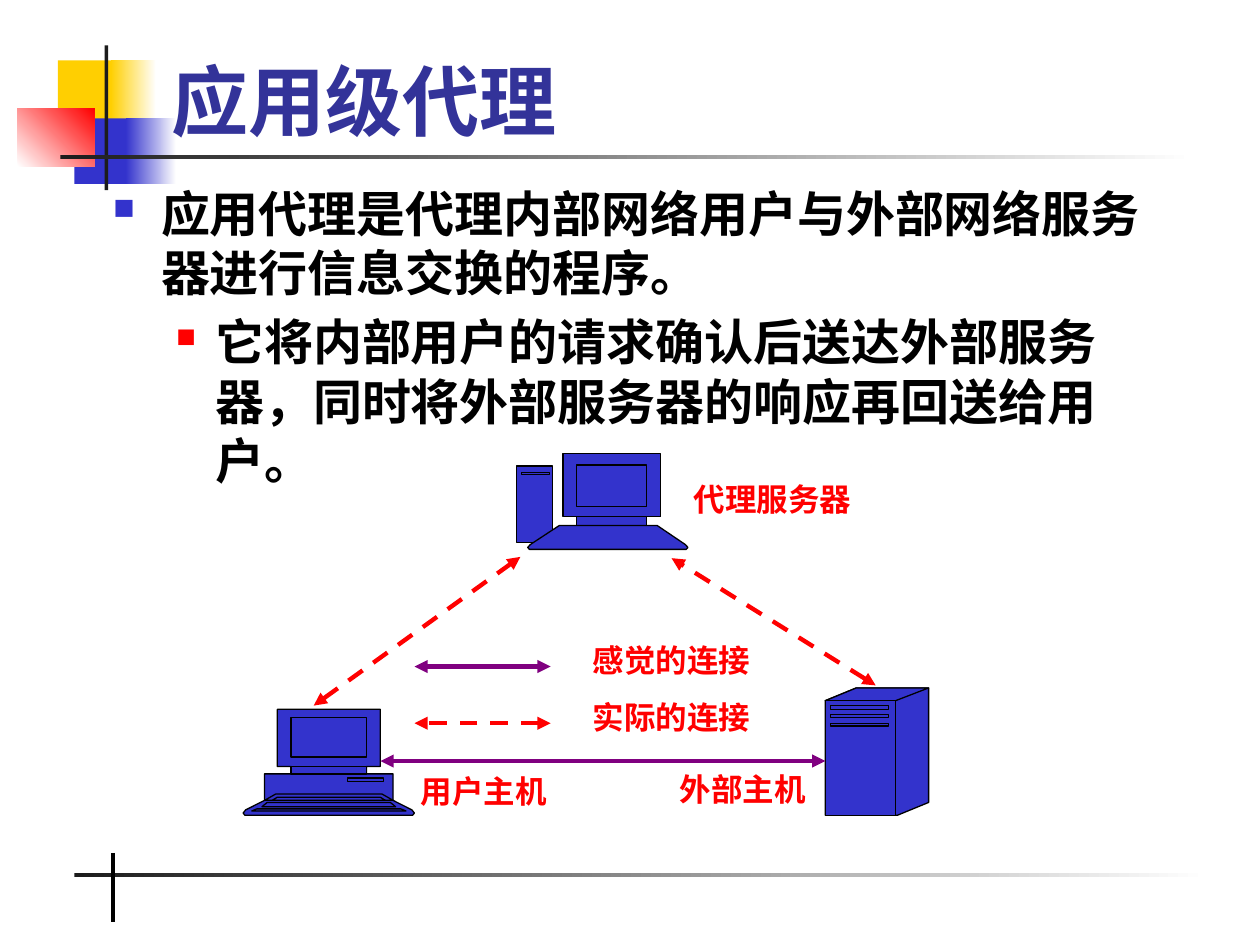
from collections import namedtuple

from lxml import etree
from pptx import Presentation, util as u
from pptx.dml.color import RGBColor
from pptx.enum import dml, shapes, text
from pptx.oxml import ns

Box = namedtuple("Box", "left top width height")

YELLOW = RGBColor(0xFF, 0xCF, 0x01)
BLUE = RGBColor(0x33, 0x33, 0xCC)
NAVY = RGBColor(0x33, 0x33, 0x99)
RED = RGBColor(0xFF, 0x00, 0x00)
PURPLE = RGBColor(0x80, 0x00, 0x80)
INK = RGBColor(0x1C, 0x1C, 0x1C)
BLACK = RGBColor(0x00, 0x00, 0x00)
WHITE = RGBColor(0xFF, 0xFF, 0xFF)

TITLE_FONT = dict(name="Times New Roman", size=u.Pt(44), bold=True)
BODY_FONT = dict(name="Times New Roman", size=u.Pt(28), bold=True)
LABEL_FONT = dict(name="Cabin", size=u.Pt(18), bold=True)


def apply(target, values):
    for name, value in values.items():
        setattr(target, name, value)


def emu(box):
    return [u.Inches(length) for length in box]


def within(box, x, y):
    """Turn percentages of a box into slide inches."""
    return box.left + box.width * x / 100, box.top + box.height * y / 100


def write(para, words, font, color):
    span = para.add_run()
    span.text = words
    apply(span.font, font)
    span.font.color.rgb = color


def block(page, box, start, end=None, angle=0):
    """Borderless rectangle, plain or fading from start to end."""
    shape = page.shapes.add_shape(shapes.MSO_SHAPE.RECTANGLE, *emu(box))
    shape.shadow.inherit = False
    shape.line.fill.background()
    if end is None:
        shape.fill.solid()
        shape.fill.fore_color.rgb = start
        return
    shape.fill.gradient()
    shape.fill.gradient_angle = angle
    for stop, color in zip(shape.fill.gradient_stops, (start, end)):
        stop.color.rgb = color


def connect(page, start, end, color, width=2.5, dashed=False, arrows=True):
    line = page.shapes.add_connector(
        shapes.MSO_CONNECTOR.STRAIGHT, *emu(start), *emu(end))
    line.line.color.rgb = color
    line.line.width = u.Pt(width)
    if dashed:
        line.line.dash_style = dml.MSO_LINE.DASH
    if arrows:
        for tip in ("a:headEnd", "a:tailEnd"):
            etree.SubElement(line.line._ln, ns.qn(tip), type="triangle")
    etree.SubElement(line._element.spPr, ns.qn("a:effectLst"))


def outline(page, box, points):
    """Closed blue polygon; points are percentages of the box."""
    corners = [emu(within(box, x, y)) for x, y in points]
    builder = page.shapes.build_freeform(*corners[0])
    builder.add_line_segments(corners[1:], close=True)
    shape = builder.convert_to_shape()
    shape.shadow.inherit = False
    shape.fill.solid()
    shape.fill.fore_color.rgb = BLUE
    shape.line.color.rgb = BLACK
    shape.line.width = u.Pt(0.75)


def mirrored(page, box, half):
    """Symmetric polygon, given its left half from top to bottom."""
    outline(page, box, half + [(100 - x, y) for x, y in reversed(half)])


def panel(page, box, left, top, right, bottom):
    outline(page, box, [(left, top), (right, top), (right, bottom), (left, bottom)])


def proxy_server(page, box):
    for part in ((0, 13, 21, 93), (3, 20, 19, 22), (27, 0, 84, 66),
                 (35, 12, 76, 55), (35, 66, 76, 75)):
        panel(page, box, *part)
    outline(page, box, [(25, 75), (82, 75), (98.5, 95), (100, 98), (99, 100),
                        (7.5, 100), (6.5, 98), (8, 95)])


def user_computer(page, box):
    mirrored(page, box, [(20, 0), (20, 54), (28, 54), (28, 61), (12.5, 61),
                         (12.5, 86), (1.5, 95), (0, 98), (1, 100)])
    for part in ((28, 54, 72, 61), (28, 8, 72, 45), (61, 65, 82, 68)):
        panel(page, box, *part)
    for inset, slant, top, bottom in ((12.5, 6.5, 80, 86), (17, 3, 83, 86),
                                      (11, 3, 88, 92), (5, 3, 94, 96)):
        mirrored(page, box, [(inset + slant, top), (inset, bottom)])


def external_host(page, box):
    outline(page, box, [(0, 10), (30, 0), (100, 0), (100, 90), (70, 100), (0, 100)])
    outline(page, box, [(0, 10), (30, 0), (100, 0), (68, 10)])
    panel(page, box, 0, 10, 68, 100)
    for top, bottom in ((14, 17), (21, 23), (28, 30)):
        panel(page, box, 5, top, 61, bottom)


def label(page, box, words):
    frame = page.shapes.add_textbox(*emu(box)).text_frame
    frame.word_wrap = True
    para = frame.paragraphs[0]
    para.alignment = text.PP_ALIGN.CENTER
    write(para, words, LABEL_FONT, RED)


def decoration(page):
    block(page, Box(0.46, 0.48, 0.48, 0.52), YELLOW)
    block(page, Box(0.88, 0.48, 0.36, 0.52), YELLOW, WHITE)
    block(page, Box(0.59, 0.94, 0.46, 0.52), BLUE)
    block(page, Box(1, 0.94, 0.4, 0.52), BLUE, WHITE)
    block(page, Box(0.14, 0.86, 0.61, 0.46), WHITE, RED, 45)
    block(page, Box(0.83, 0.36, 0.03, 1.15), INK)
    for left, top in ((0.48, 1.23), (0.59, 6.93)):
        block(page, Box(left, top, 9, 0.03), INK, WHITE)
    connect(page, (0.9, 6.77), (0.9, 7.32), BLACK, 2.25, arrows=False)


def heading(page, box, words):
    title = page.shapes.title
    apply(title, dict(zip(Box._fields, emu(box))))
    frame = title.text_frame
    apply(frame, dict(vertical_anchor=text.MSO_ANCHOR.BOTTOM, word_wrap=True,
                      auto_size=text.MSO_AUTO_SIZE.NONE))
    para = frame.paragraphs[0]
    para.alignment = text.PP_ALIGN.LEFT
    write(para, words, TITLE_FONT, NAVY)
    page.shapes._spTree.append(title._element)


def bullet(para, color, percent, margin, hang):
    """Square marker: the letter n of Wingdings is a filled square."""
    props = para._p.get_or_add_pPr()
    props.set("marL", str(u.Inches(margin)))
    props.set("indent", str(-u.Inches(hang)))
    props.set("hangingPunct", "0")
    tint = etree.SubElement(props, ns.qn("a:buClr"))
    etree.SubElement(tint, ns.qn("a:srgbClr"), val=str(color))
    etree.SubElement(props, ns.qn("a:buSzPct"), val=str(percent * 1000))
    etree.SubElement(props, ns.qn("a:buFont"), typeface="Wingdings", charset="2")
    etree.SubElement(props, ns.qn("a:buChar"), char="n")


def body(page, box, items):
    frame = page.shapes.add_textbox(*emu(box)).text_frame
    frame.word_wrap = True
    for level, (words, *marker) in enumerate(items):
        para = frame.add_paragraph() if level else frame.paragraphs[0]
        apply(para, dict(level=level, line_spacing=u.Pt(34), space_before=u.Pt(5.6)))
        bullet(para, *marker)
        write(para, words, BODY_FONT, BLACK)


def network(page):
    proxy_server(page, Box(4.1, 3.6, 1.36, 0.76))
    user_computer(page, Box(1.93, 5.63, 1.36, 0.84))
    external_host(page, Box(6.55, 5.46, 0.82, 1.01))
    connect(page, (2.49, 5.6), (4.13, 4.42), RED, dashed=True)
    connect(page, (6.95, 5.44), (5.33, 4.43), RED, dashed=True)
    connect(page, (6.55, 6.04), (3.02, 6.04), PURPLE)
    label(page, Box(5.17, 3.76, 1.92, 0.51), "代理服务器")
    label(page, Box(3.15, 6.08, 1.38, 0.51), "用户主机")
    label(page, Box(5.08, 6.06, 1.63, 0.51), "外部主机")


def legend(page, box):
    """Two rows: a sample arrow on the left, its meaning on the right."""
    rows = (("感觉的连接", PURPLE, False), ("实际的连接", RED, True))
    for row, (words, color, dashed) in enumerate(rows):
        top = box.top + row * box.height / len(rows)
        middle = box.left + box.width * 0.36
        connect(page, (middle, top + 0.25), (box.left, top + 0.25), color, dashed=dashed)
        label(page, Box(middle, top, box.width * 0.64, 0.51), words)


def main():
    deck = Presentation()
    deck.slide_width, deck.slide_height = u.Inches(10), u.Inches(7.5)
    page = deck.slides.add_slide(deck.slide_layouts[5])
    decoration(page)
    heading(page, Box(1.26, 0.16, 8.52, 1.05), "应用级代理")
    body(page, Box(0.8, 1.4, 8.38, 4.5), [
        ("应用代理是代理内部网络用户与外部网络服务器进行信息交换的程序。",
         BLUE, 60, 0.38, 0.38),
        ("它将内部用户的请求确认后送达外部服务器，同时将外部服务器的响应再回送给用户。",
         RED, 55, 0.81, 0.31)])
    network(page)
    legend(page, Box(3.29, 5.04, 3, 0.9))
    deck.save("out.pptx")


if __name__ == "__main__":
    main()
